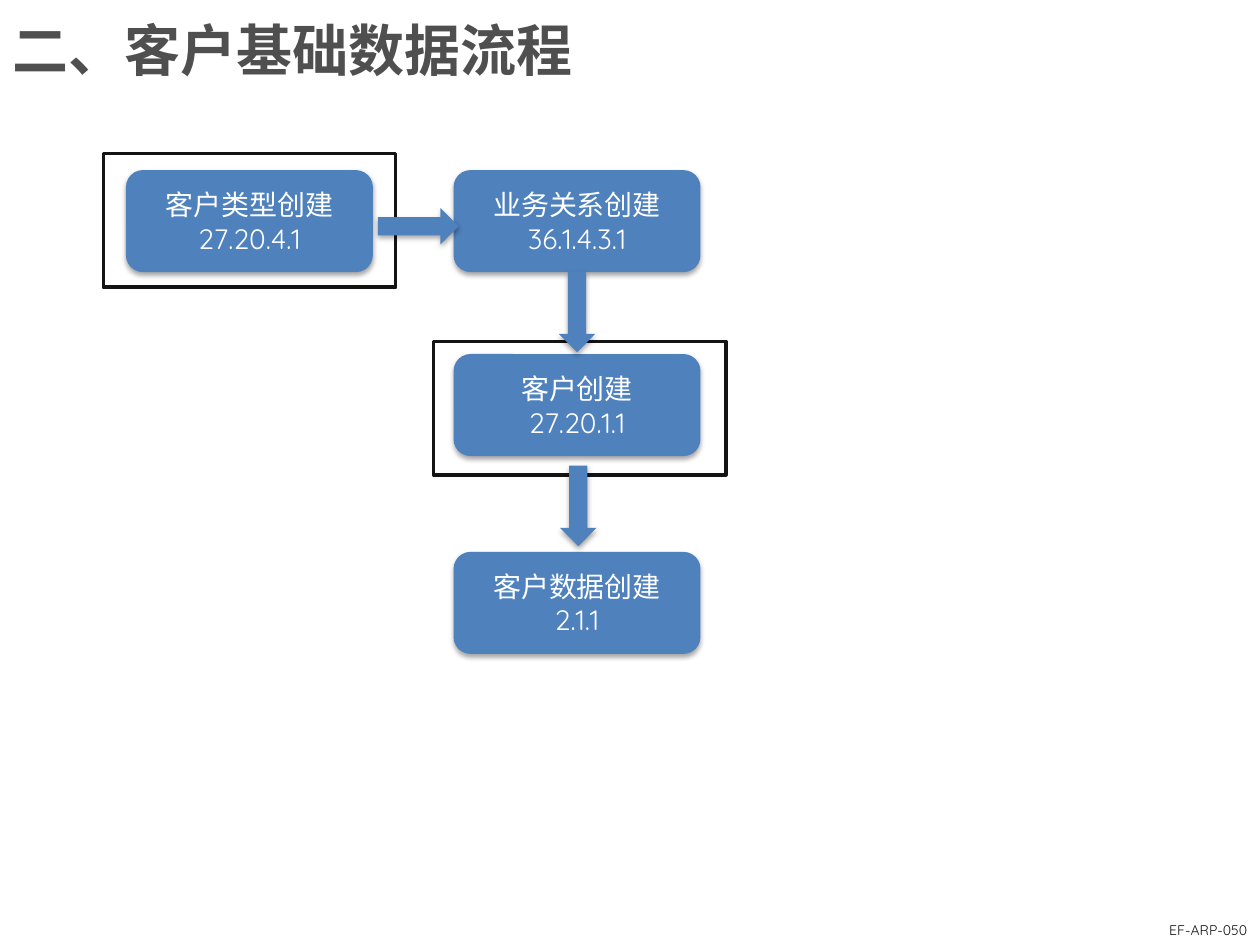
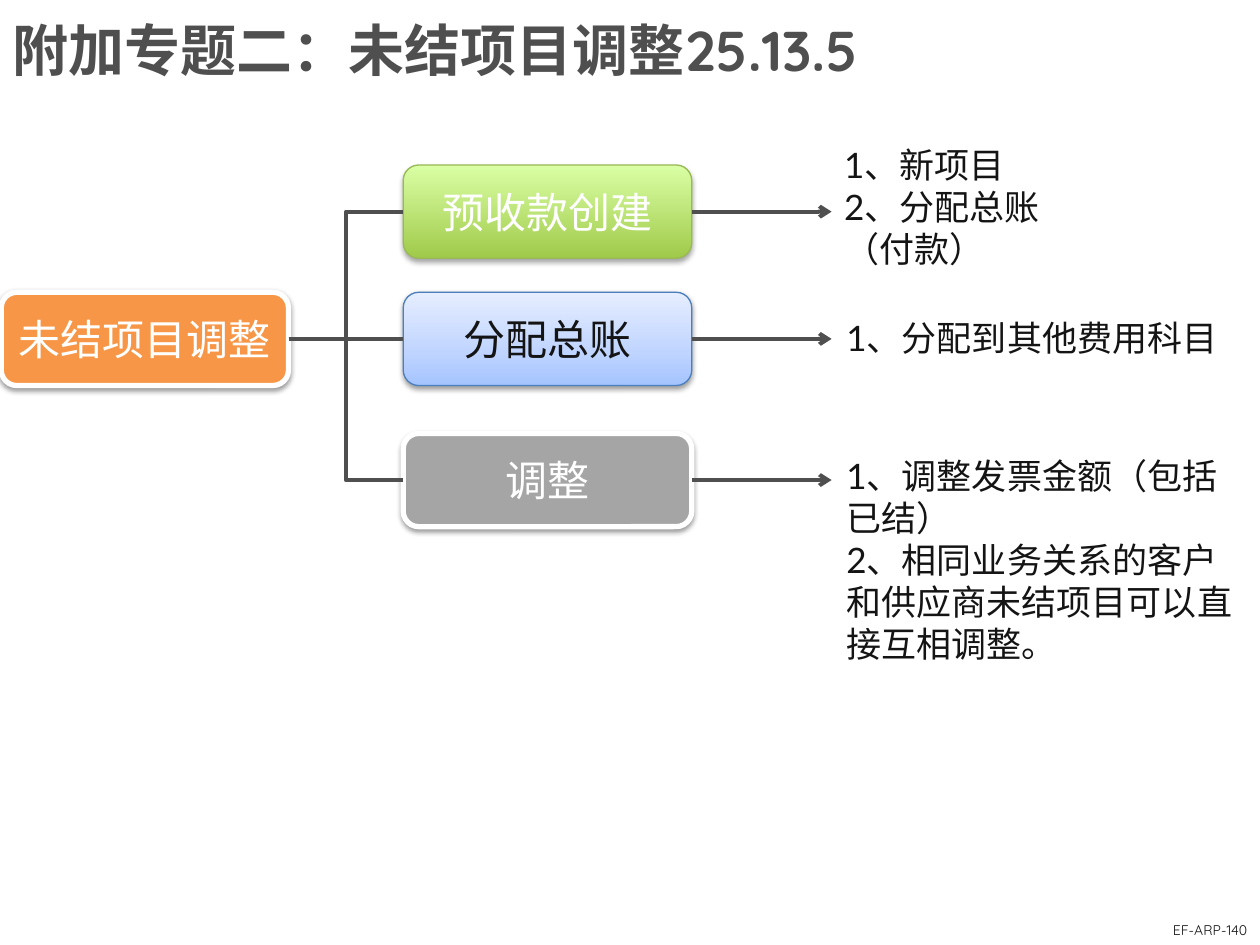
"""Builds two slides: the customer data flow and the open item adjustment tree."""
from dataclasses import dataclass

import lxml.etree
import pptx
import pptx.dml.color
import pptx.enum.shapes
import pptx.enum.text
import pptx.oxml.ns
import pptx.util

Inches = pptx.util.Inches
Pt = pptx.util.Pt
qn = pptx.oxml.ns.qn
Shapes = pptx.enum.shapes.MSO_SHAPE
Connectors = pptx.enum.shapes.MSO_CONNECTOR
Anchor = pptx.enum.text.MSO_ANCHOR
Align = pptx.enum.text.PP_ALIGN

COLOURS = {
    "white": "FFFFFF", "ink": "141414", "slate": "4F4F4F", "blue": "4F81BD",
    "orange": "F79646", "grey": "A5A5A5", "green edge": "98B955", "blue edge": "4B7EBC",
    "green": "A0CA4A", "light green": "DAFFA5",
    "sky": "A4C4FF", "pale sky": "BFD4FF", "lightest sky": "E6EEFF",
}
HEADING_FONT = "Quicksand"
NOTE_FONT = "Lato"
TITLE_ONLY = 5
TOP, LEFT, BOTTOM, RIGHT = range(4)


@dataclass(frozen=True)
class TextStyle:
    size: float
    colour: str
    font: str = HEADING_FONT
    bold: bool = False
    align: Align = Align.LEFT
    anchor: Anchor = Anchor.TOP


@dataclass(frozen=True)
class Block:
    left: float
    top: float
    width: float
    height: float
    lines: tuple[str, ...] = ()
    stops: tuple[tuple[int, str], ...] = ((0, "blue"),)
    border: str = ""
    border_width: float = 0
    size: float = 16
    text_colour: str = "white"
    kind: Shapes = Shapes.ROUNDED_RECTANGLE
    rotation: float = 0
    shadow: bool = True
    shadow_opacity: int = 35
    shadow_distance: float = 1.8


@dataclass(frozen=True)
class Note:
    left: float
    top: float
    width: float
    height: float
    lines: tuple[str, ...]


TITLE = TextStyle(32, "slate", bold=True, anchor=Anchor.MIDDLE)
FOOTER = TextStyle(8, "ink", align=Align.RIGHT, anchor=Anchor.BOTTOM)
NOTE = TextStyle(20, "ink", NOTE_FONT)


def rgb(name: str) -> pptx.dml.color.RGBColor:
    return pptx.dml.color.RGBColor.from_string(COLOURS[name])


def write(frame, lines: tuple[str, ...], style: TextStyle) -> None:
    frame.word_wrap = True
    frame.auto_size = pptx.enum.text.MSO_AUTO_SIZE.NONE
    frame.vertical_anchor = style.anchor
    for index, line in enumerate(lines):
        para = frame.add_paragraph() if index else frame.paragraphs[0]
        para.text = line
        para.alignment = style.align
        para.font.name = style.font
        para.font.size = Pt(style.size)
        para.font.bold = style.bold
        para.font.color.rgb = rgb(style.colour)


def add_text(page, left: float, top: float, width: float, height: float,
             lines: tuple[str, ...], style: TextStyle) -> None:
    box = page.shapes.add_textbox(Inches(left), Inches(top), Inches(width), Inches(height))
    write(box.text_frame, lines, style)


def add_page(deck, title: str, code: str):
    page = deck.slides.add_slide(deck.slide_layouts[TITLE_ONLY])
    heading = page.shapes.title
    heading.left, heading.top = Inches(0), Inches(0)
    heading.width, heading.height = Inches(9), Inches(0.78)
    write(heading.text_frame, (title,), TITLE)
    add_text(page, 9, 7.26, 1, 0.24, (code,), FOOTER)
    return page


def add_colour(parent, name: str):
    return lxml.etree.SubElement(parent, qn("a:srgbClr"), val=COLOURS[name])


def paint(shape, stops: tuple[tuple[int, str], ...]) -> None:
    if len(stops) == 1:
        shape.fill.solid()
        shape.fill.fore_color.rgb = rgb(stops[0][1])
        return
    shape.fill.gradient()
    shape.fill.gradient_angle = 90
    stop_list = shape.element.spPr.find(qn("a:gradFill")).find(qn("a:gsLst"))
    for stop in list(stop_list):
        stop_list.remove(stop)
    for position, name in stops:
        add_colour(lxml.etree.SubElement(stop_list, qn("a:gs"), pos=str(position * 1000)), name)


def cast_shadow(shape, opacity: int, distance: float) -> None:
    effects = shape.element.spPr.find(qn("a:effectLst"))
    shadow = lxml.etree.SubElement(
        effects, qn("a:outerShdw"), blurRad=str(Pt(3.1)), dist=str(Pt(distance)),
        dir="5400000", rotWithShape="0")
    colour = lxml.etree.SubElement(shadow, qn("a:srgbClr"), val="000000")
    lxml.etree.SubElement(colour, qn("a:alpha"), val=str(opacity * 1000))


def add_block(page, block: Block):
    shape = page.shapes.add_shape(block.kind, Inches(block.left), Inches(block.top),
                                  Inches(block.width), Inches(block.height))
    shape.rotation = block.rotation
    paint(shape, block.stops)
    if block.border:
        shape.line.color.rgb = rgb(block.border)
        shape.line.width = Pt(block.border_width)
    else:
        shape.line.fill.background()
    shape.shadow.inherit = False
    if block.shadow:
        cast_shadow(shape, block.shadow_opacity, block.shadow_distance)
    if block.lines:
        write(shape.text_frame, block.lines,
              TextStyle(block.size, block.text_colour, align=Align.CENTER, anchor=Anchor.MIDDLE))
    return shape


def middle(shape) -> int:
    return shape.top + shape.height // 2


def style_connector(connector, arrow: bool = False) -> None:
    connector.line.color.rgb = rgb("slate")
    connector.line.width = Pt(2.25)
    properties = connector.element.spPr
    if arrow:
        lxml.etree.SubElement(properties.find(qn("a:ln")), qn("a:tailEnd"), type="arrow")
    lxml.etree.SubElement(properties, qn("a:effectLst"))


def add_branch(page, root, branch) -> None:
    connector = page.shapes.add_connector(
        Connectors.ELBOW, root.left + root.width, middle(root), branch.left, middle(branch))
    connector.begin_connect(root, RIGHT)
    connector.end_connect(branch, LEFT)
    style_connector(connector)


def add_note_arrow(page, branch) -> None:
    level = middle(branch)
    connector = page.shapes.add_connector(
        Connectors.STRAIGHT, branch.left + branch.width, level, Inches(6.6), level)
    connector.begin_connect(branch, RIGHT)
    style_connector(connector, arrow=True)


def build_customer_flow(deck) -> None:
    page = add_page(deck, "二、客户基础数据流程", "EF-ARP-050")
    for left, top in ((0.82, 1.22), (3.44, 2.71)):
        add_block(page, Block(left, top, 2.32, 1.06, stops=((0, "white"),), border="ink",
                              border_width=2, kind=Shapes.FLOWCHART_PROCESS, shadow=False))
    steps = (
        (1, 1.35, "客户类型创建", "27.20.4.1"),
        (3.6, 1.35, "业务关系创建", "36.1.4.3.1"),
        (3.6, 2.81, "客户创建", "27.20.1.1"),
        (3.6, 4.38, "客户数据创建", "2.1.1"),
    )
    for left, top, name, menu in steps:
        add_block(page, Block(left, top, 1.96, 0.81, (name, menu)))
    for left, top, rotation in ((3, 1.65, 0), (4.26, 2.33, 90), (4.27, 3.87, 90)):
        add_block(page, Block(left, top, 0.64, 0.29, kind=Shapes.RIGHT_ARROW, rotation=rotation))


def build_open_items(deck) -> None:
    page = add_page(deck, "附加专题二：未结项目调整25.13.5", "EF-ARP-140")
    framed = {"border": "white", "border_width": 3, "size": 24,
              "shadow_opacity": 38, "shadow_distance": 1.6}
    root = add_block(page, Block(0.01, 2.32, 2.28, 0.74, ("未结项目调整",),
                                 ((0, "orange"),), **framed))
    branches = (
        (Block(3.2, 1.31, 2.29, 0.74, ("预收款创建",), ((0, "green"), (100, "light green")),
               "green edge", 0.75, 24),
         Note(6.6, 1.09, 2.01, 1.11, ("1、新项目", "2、分配总账（付款）"))),
        (Block(3.2, 2.32, 2.29, 0.74, ("分配总账",),
               ((0, "sky"), (35, "pale sky"), (100, "lightest sky")),
               "blue edge", 0.75, 24, "ink", shadow_opacity=38, shadow_distance=1.6),
         Note(6.62, 2.46, 3.16, 0.44, ("1、分配到其他费用科目",))),
        (Block(3.2, 3.44, 2.29, 0.74, ("调整",), ((0, "grey"),), **framed),
         Note(6.62, 3.56, 3.26, 2.12,
              ("1、调整发票金额（包括已结）",
               "2、相同业务关系的客户和供应商未结项目可以直接互相调整。"))),
    )
    for block, note in branches:
        branch = add_block(page, block)
        add_branch(page, root, branch)
        add_note_arrow(page, branch)
        add_text(page, note.left, note.top, note.width, note.height, note.lines, NOTE)


def main() -> None:
    deck = pptx.Presentation()
    deck.slide_width, deck.slide_height = Inches(10), Inches(7.5)
    build_customer_flow(deck)
    build_open_items(deck)
    deck.save("out.pptx")


if __name__ == "__main__":
    main()
